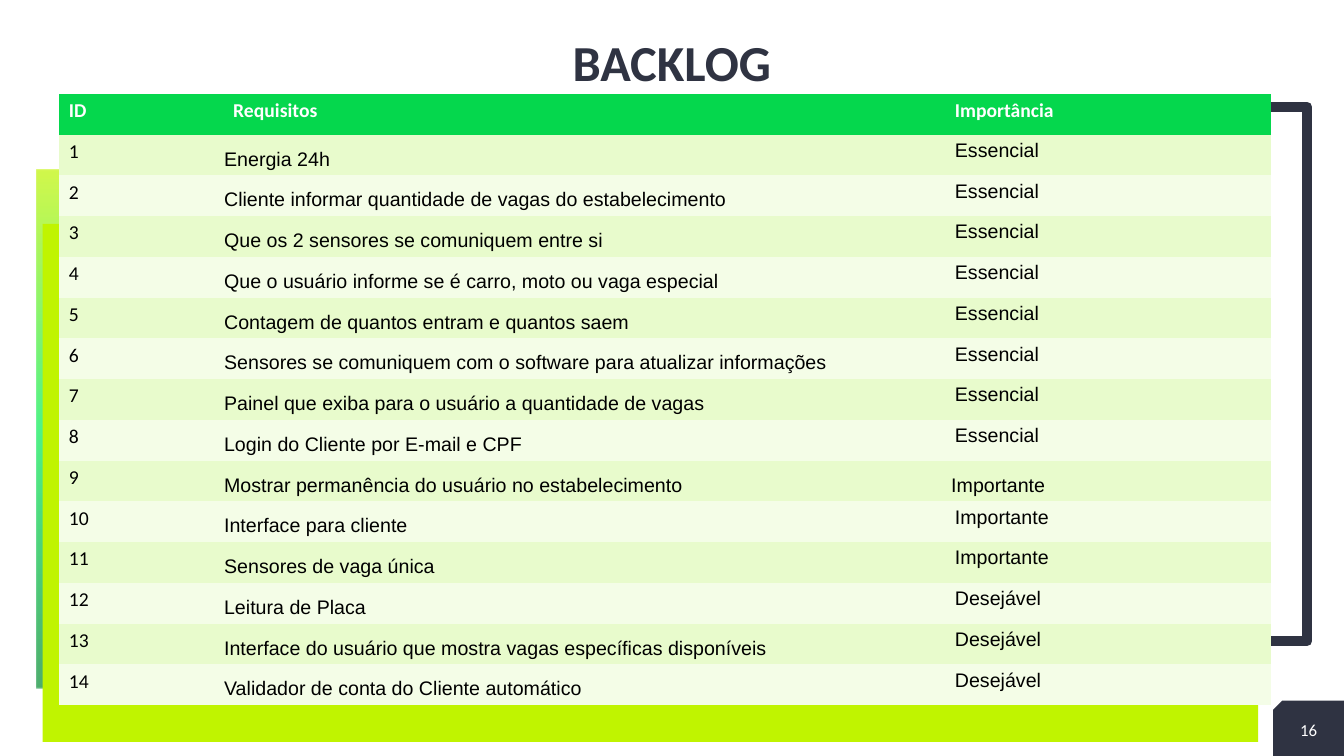
"""Build the BACKLOG slide with its table of requirements."""
from lxml.etree import SubElement
from pptx import Presentation
from pptx.dml.color import RGBColor
from pptx.enum.shapes import MSO_SHAPE
from pptx.enum.text import MSO_ANCHOR, MSO_AUTO_SIZE, PP_ALIGN
from pptx.oxml.ns import qn
from pptx.util import Pt

NAVY = RGBColor(0x2F, 0x33, 0x42)
LIME = RGBColor(0xC0, 0xF4, 0x00)
MINT = RGBColor(0x05, 0xEE, 0x55)
FOREST = RGBColor(0x03, 0x8B, 0x30)
GREEN = RGBColor(0x05, 0xD7, 0x4D)
BANDS = (RGBColor(0xE8, 0xFB, 0xCC), RGBColor(0xF4, 0xFD, 0xE7))
WHITE = RGBColor(0xFF, 0xFF, 0xFF)
BLACK = RGBColor(0, 0, 0)
NO_STYLE = "{2D5ABB26-0587-4C30-8999-92F81FD0307C}"

HEADERS = ("ID", "Requisitos", "Importância")
BACKLOG = (
    ("Energia 24h", "Essencial"),
    ("Cliente informar quantidade de vagas do estabelecimento", "Essencial"),
    ("Que os 2 sensores se comuniquem entre si", "Essencial"),
    ("Que o usuário informe se é carro, moto ou vaga especial", "Essencial"),
    ("Contagem de quantos entram e quantos saem", "Essencial"),
    ("Sensores se comuniquem com o software para atualizar informações", "Essencial"),
    ("Painel que exiba para o usuário a quantidade de vagas", "Essencial"),
    ("Login do Cliente por E-mail e CPF", "Essencial"),
    ("Mostrar permanência do usuário no estabelecimento", "Importante"),
    ("Interface para cliente", "Importante"),
    ("Sensores de vaga única", "Importante"),
    ("Leitura de Placa", "Desejável"),
    ("Interface do usuário que mostra vagas específicas disponíveis", "Desejável"),
    ("Validador de conta do Cliente automático", "Desejável"),
)
LOW_IMPORTANCE_ID = 9


class Deck:
    """Hold the style and the current slide."""

    heading, body = "Calibri", "Arial"

    def __init__(self):
        self.prs = Presentation()
        self.prs.slide_width, self.prs.slide_height = Pt(960), Pt(540)
        self.slide = self.prs.slides.add_slide(self.prs.slide_layouts[5])

    def text(self, tf, text, size, color, font, bold=False, align=PP_ALIGN.LEFT):
        """Add one run to the first paragraph and return the paragraph."""
        p = tf.paragraphs[0]
        p.alignment = align
        r = p.add_run()
        r.text = text
        r.font.size, r.font.name, r.font.bold = Pt(size), font, bold
        r.font.color.rgb = color
        return p

    def title(self, text, x, y, w, h):
        """Place and format the title placeholder."""
        sp = self.slide.shapes.title
        sp.left, sp.top, sp.width, sp.height = Pt(x), Pt(y), Pt(w), Pt(h)
        tf = sp.text_frame
        tf.auto_size = MSO_AUTO_SIZE.NONE
        tf.vertical_anchor = MSO_ANCHOR.MIDDLE
        p = self.text(tf, text, 36, NAVY, self.heading, True, PP_ALIGN.CENTER)
        p.line_spacing = 0.9

    def shape(self, kind, x, y, w, h, fill=None, line=None, weight=0):
        """Add a mirrored preset shape."""
        sp = self.slide.shapes.add_shape(kind, Pt(x), Pt(y), Pt(w), Pt(h))
        sp.shadow.inherit = False
        sp._element.spPr.xfrm.set("flipH", "1")
        if fill is None:
            sp.fill.background()
        else:
            sp.fill.solid()
            sp.fill.fore_color.rgb = fill
        if line is None:
            sp.line.fill.background()
        else:
            sp.line.color.rgb = line
            sp.line.width = Pt(weight)
        return sp

    def gradient(self, sp, colors, alpha):
        """Fill a shape upwards with evenly spaced translucent colours."""
        sp.fill.gradient()
        sp.fill.gradient_angle = 90
        stops = sp._element.spPr.find(qn("a:gradFill")).find(qn("a:gsLst"))
        for stop in list(stops):
            stops.remove(stop)
        for i, color in enumerate(colors):
            pos = i * 100000 // (len(colors) - 1)
            stop = SubElement(stops, qn("a:gs"), pos=str(pos))
            clr = SubElement(stop, qn("a:srgbClr"), val=str(color))
            SubElement(clr, qn("a:alpha"), val=str(alpha * 1000))

    def label(self, text, x, y, w, h):
        """Add a small centred white text box."""
        tf = self.slide.shapes.add_textbox(Pt(x), Pt(y), Pt(w), Pt(h)).text_frame
        tf.word_wrap = True
        tf.vertical_anchor = MSO_ANCHOR.MIDDLE
        self.text(tf, text, 12, WHITE, self.heading, align=PP_ALIGN.CENTER)

    def cell(self, cell, text, fill, color, font, bold=False, low=False, left=0.7):
        """Fill one cell, with its text at the bottom when low."""
        cell.fill.solid()
        cell.fill.fore_color.rgb = fill
        if low:
            cell.vertical_anchor = MSO_ANCHOR.BOTTOM
            cell.margin_left = Pt(left)
            cell.margin_right = cell.margin_top = Pt(0.7)
            cell.margin_bottom = Pt(3.6)
        self.text(cell.text_frame, text, 14, color, font, bold)

    def table(self, x, y, widths, row_height):
        """Add the backlog table."""
        rows = len(BACKLOG) + 1
        table = self.slide.shapes.add_table(
            rows, len(widths), Pt(x), Pt(y), Pt(sum(widths)), Pt(rows * row_height)
        ).table
        table._tbl.tblPr.find(qn("a:tableStyleId")).text = NO_STYLE
        for col, width in zip(table.columns, widths):
            col.width = Pt(width)
        for row in table.rows:
            row.height = Pt(row_height)
        for j, text in enumerate(HEADERS):
            self.cell(table.cell(0, j), text, GREEN, WHITE, self.heading, True)
        for i, (need, importance) in enumerate(BACKLOG, 1):
            fill = BANDS[(i - 1) % 2]
            self.cell(table.cell(i, 0), str(i), fill, BLACK, self.heading)
            self.cell(table.cell(i, 1), need, fill, BLACK, self.body, low=True)
            self.cell(table.cell(i, 2), importance, fill, BLACK, self.body,
                      low=i == LOW_IMPORTANCE_ID, left=4.6)


def main():
    deck = Deck()
    deck.shape(MSO_SHAPE.SNIP_1_RECTANGLE, 909.4, 500.4, 50.6, 39.6, NAVY)
    back = deck.shape(MSO_SHAPE.RECTANGLE, 26.4, 121.5, 868.3, 370)
    deck.gradient(back, (FOREST, MINT, LIME), 70)
    deck.title("BACKLOG", 46.8, 0, 866.2, 93.6)
    deck.shape(MSO_SHAPE.RECTANGLE, 211.7, 76.4, 722.2, 381.6, line=NAVY, weight=7)
    deck.shape(MSO_SHAPE.RECTANGLE, 30.4, 160, 868.3, 370, LIME)
    deck.label("16", 909.4, 505, 50.6, 32.4)
    deck.table(42, 67, (117.4, 515.5, 233.3), 29.13)
    deck.prs.save("out.pptx")


if __name__ == "__main__":
    main()
